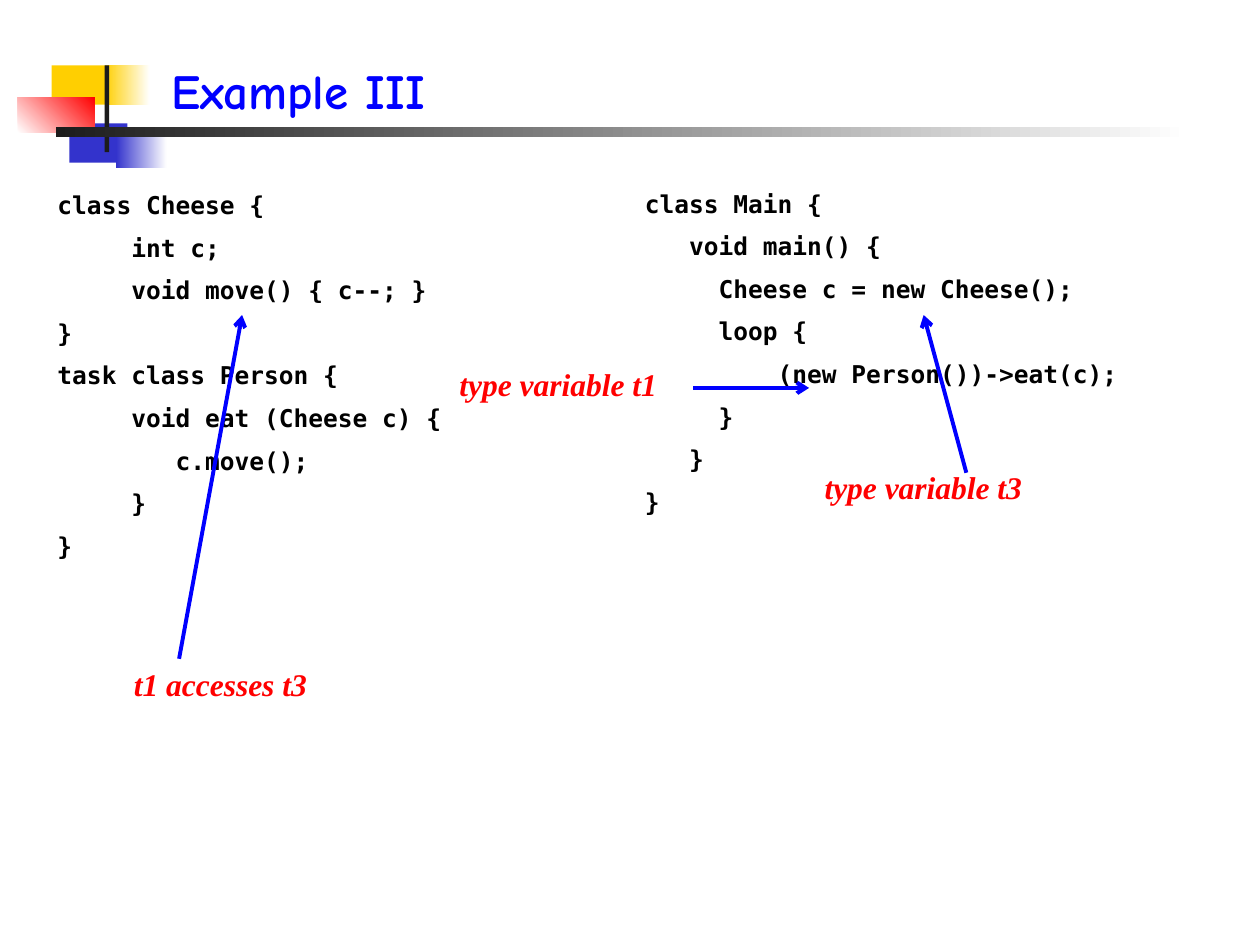
from pptx import Presentation
from pptx.dml.color import RGBColor
from pptx.enum.shapes import MSO_CONNECTOR, MSO_SHAPE
from pptx.enum.text import MSO_ANCHOR, MSO_AUTO_SIZE, PP_ALIGN
from pptx.oxml.ns import qn
from pptx.util import Cm, Pt
from lxml.etree import SubElement

WHITE = RGBColor(0xFF, 0xFF, 0xFF)
BLACK = RGBColor(0x00, 0x00, 0x00)
CHARCOAL = RGBColor(0x1C, 0x1C, 0x1C)
YELLOW = RGBColor(0xFF, 0xCF, 0x01)
INDIGO = RGBColor(0x33, 0x33, 0xCC)
RED = RGBColor(0xFF, 0x00, 0x00)
BLUE = RGBColor(0x00, 0x00, 0xFF)

CHEESE_CODE = """class Cheese {
     int c;
     void move() { c--; }
}
task class Person {
     void eat (Cheese c) {
        c.move();
     }
}"""

MAIN_CODE = """class Main {
   void main() {
     Cheese c = new Cheese();
     loop {
         (new Person())->eat(c);
     }
   }
}"""

# Left, top, width, height, start colour, end colour, angle
DECORATION = [
    (1.04, 1.32, 1.22, 0.79, YELLOW, None, 0),
    (2.11, 1.32, 0.91, 0.79, YELLOW, WHITE, 0),
    (1.4, 2.49, 1.17, 0.79, INDIGO, None, 0),
    (2.34, 2.59, 1.02, 0.79, INDIGO, WHITE, 0),
    (0.36, 1.96, 1.55, 0.71, WHITE, RED, 45),
    (2.11, 1.32, 0.09, 1.75, CHARCOAL, None, 0),
    (1.12, 2.57, 22.86, 0.2, CHARCOAL, WHITE, 0),
]


def add_block(page, left, top, width, height, start, end, angle):
    block = page.shapes.add_shape(
        MSO_SHAPE.RECTANGLE, Cm(left), Cm(top), Cm(width), Cm(height))
    block.shadow.inherit = False
    block.line.fill.background()
    if end is None:
        block.fill.solid()
        block.fill.fore_color.rgb = start
        return
    block.fill.gradient()
    block.fill.gradient_angle = angle
    for stop, color in zip(block.fill.gradient_stops, (start, end)):
        stop.color.rgb = color


def write_text(frame, text, *, font, size, color, bold=True, italic=False,
               align=PP_ALIGN.LEFT, gap=0):
    frame.word_wrap = True
    frame.auto_size = MSO_AUTO_SIZE.NONE
    for index, line in enumerate(text.split("\n")):
        para = frame.add_paragraph() if index else frame.paragraphs[0]
        para.alignment = align
        para.space_before = Pt(gap if index else 0)
        span = para.add_run()
        span.text = line
        span.font.name = font
        span.font.size = Pt(size)
        span.font.bold = bold
        span.font.italic = italic
        span.font.color.rgb = color


def add_text(page, text, left, top, width, height, **style):
    box = page.shapes.add_textbox(Cm(left), Cm(top), Cm(width), Cm(height))
    write_text(box.text_frame, text, **style)


def add_code(page, text, left, top, width, height):
    add_text(page, text, left, top, width, height,
             font="DejaVu Sans Mono", size=14, color=BLACK, gap=7.5)


def add_label(page, text, left, top, width):
    add_text(page, text, left, top, width, 1.02, font="Times New Roman",
             size=18, color=RED, italic=True, align=PP_ALIGN.CENTER)


def add_arrow(page, start_x, start_y, end_x, end_y):
    arrow = page.shapes.add_connector(
        MSO_CONNECTOR.STRAIGHT, Cm(start_x), Cm(start_y), Cm(end_x), Cm(end_y))
    arrow.line.color.rgb = BLUE
    arrow.line.width = Pt(2.25)
    SubElement(arrow.line._get_or_add_ln(), qn("a:tailEnd"), type="arrow")
    SubElement(arrow._element.spPr, qn("a:effectLst"))


def add_title(page, text):
    title = page.shapes.title
    title.left, title.top = Cm(3.2), Cm(0.64)
    title.width, title.height = Cm(21.64), Cm(1.9)
    title.text_frame.vertical_anchor = MSO_ANCHOR.BOTTOM
    write_text(title.text_frame, text, font="Comic Neue", size=28, color=BLUE)


def main():
    deck = Presentation()
    deck.slide_width, deck.slide_height = Cm(25.4), Cm(19.05)
    page = deck.slides.add_slide(deck.slide_layouts[5])

    # Heading with its coloured blocks and rule
    for block in DECORATION:
        add_block(page, *block)
    add_title(page, "Example III")

    # Code columns
    add_code(page, MAIN_CODE, 12.75, 3.68, 10.2, 8.03)
    add_code(page, CHEESE_CODE, 0.91, 3.71, 8.4, 8.94)

    # Labels and the code they point at
    add_label(page, "type variable t1", 7.66, 7.24, 7.19)
    add_arrow(page, 13.97, 7.82, 16.31, 7.82)
    add_label(page, "type variable t3", 12.9, 9.32, 11.43)
    add_arrow(page, 19.48, 9.53, 18.62, 6.35)
    add_label(page, "t1 accesses t3", 0, 13.28, 8.89)
    add_arrow(page, 3.61, 13.28, 4.88, 6.35)

    deck.save("out.pptx")


if __name__ == "__main__":
    main()
